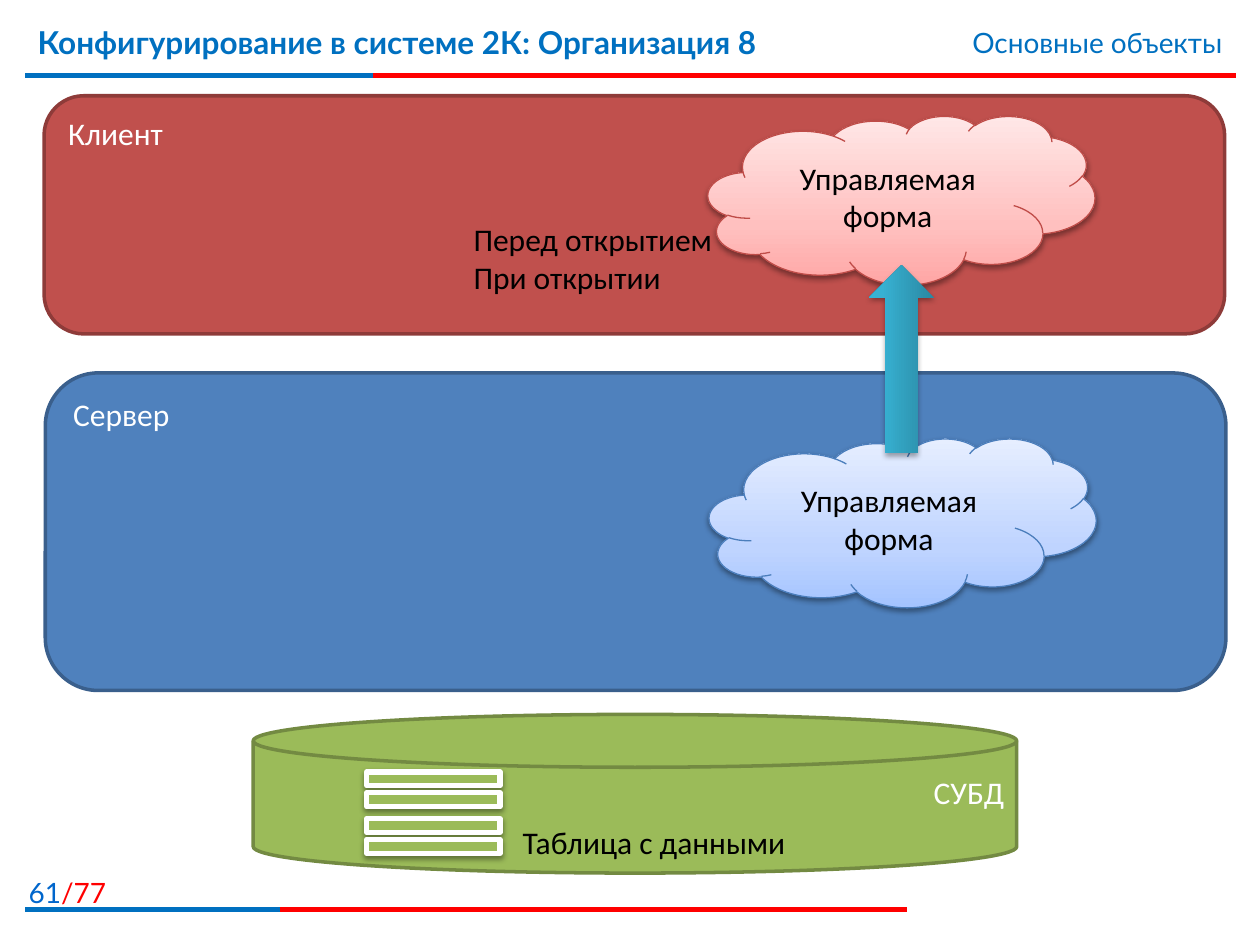
from dataclasses import dataclass, field
from typing import Optional

from lxml.etree import SubElement
from pptx import Presentation
from pptx.dml.color import RGBColor
from pptx.enum.shapes import MSO_CONNECTOR, MSO_SHAPE as Geo
from pptx.enum.text import MSO_ANCHOR as Anchor, PP_ALIGN as Align
from pptx.oxml.ns import qn
from pptx.util import Inches, Pt

BLUE = RGBColor(0x00, 0x70, 0xC0)
PAGE_BLUE = RGBColor(0x00, 0x66, 0xCC)
RED = RGBColor(0xFF, 0x00, 0x00)
WHITE = RGBColor(0xFF, 0xFF, 0xFF)
BLACK = RGBColor(0x00, 0x00, 0x00)
CLIENT_FILL = RGBColor(0xC0, 0x50, 0x4D)
CLIENT_EDGE = RGBColor(0x8E, 0x3B, 0x39)
SERVER_FILL = RGBColor(0x4F, 0x81, 0xBD)
SERVER_EDGE = RGBColor(0x3A, 0x5F, 0x8C)
DATA_FILL = RGBColor(0x9B, 0xBB, 0x59)
DATA_EDGE = RGBColor(0x73, 0x8A, 0x42)
PINK_EDGE = RGBColor(0xBF, 0x4C, 0x48)
SKY_EDGE = RGBColor(0x4B, 0x7E, 0xBC)

# Gradient stops: percent and colour, running from bottom to top
PINK = [(0, RGBColor(0xFF, 0xA6, 0xA5)), (35, RGBColor(0xFF, 0xC0, 0xBF)),
        (100, RGBColor(0xFF, 0xE7, 0xE7))]
SKY = [(0, RGBColor(0xA4, 0xC4, 0xFF)), (35, RGBColor(0xBF, 0xD4, 0xFF)),
       (100, RGBColor(0xE6, 0xEE, 0xFF))]
TEAL = [(0, RGBColor(0x2A, 0x88, 0xA2)), (80, RGBColor(0x37, 0xB1, 0xD2)),
        (100, RGBColor(0x34, 0xB4, 0xD6))]

HEADING = {"name": "Lato", "size": Pt(16)}
TITLE = {"name": "Lato", "size": Pt(18), "bold": True}
BODY = {"name": "Calibri", "size": Pt(18)}


@dataclass
class Label:
    phrases: list[tuple[str, RGBColor]]
    font: dict = field(default_factory=lambda: BODY)
    align: Align = Align.LEFT
    anchor: Anchor = Anchor.TOP


@dataclass
class Figure:
    geometry: Geo
    box: tuple[float, float, float, float]
    fill: RGBColor | list
    edge: Optional[RGBColor] = None
    width: float = 2
    label: Optional[Label] = None
    shadow: Optional[int] = None  # opacity in percent
    rotation: float = 0


@dataclass
class Rule:
    y: float
    split: float
    end: float
    start: float = 0.2


def write(frame, label: Label) -> None:
    frame.word_wrap = True
    frame.vertical_anchor = label.anchor
    paragraph = frame.paragraphs[0]
    paragraph.alignment = label.align
    for words, color in label.phrases:
        for number, line in enumerate(words.split("\n")):
            if number:
                paragraph.add_line_break()
            run = paragraph.add_run()
            run.text = line
            run.font.color.rgb = color
            for name, value in label.font.items():
                setattr(run.font, name, value)


def add_color(parent, color: RGBColor):
    return SubElement(parent, qn("a:srgbClr"), val=str(color))


def paint_gradient(shape, stops: list) -> None:
    shape.fill.gradient()
    shape.fill.gradient_angle = 90  # python-pptx counts counter-clockwise
    stop_list = shape.element.spPr.find(".//" + qn("a:gsLst"))
    for old_stop in list(stop_list):
        stop_list.remove(old_stop)
    for percent, color in stops:
        add_color(SubElement(stop_list, qn("a:gs"), pos=str(percent * 1000)), color)


def cast_shadow(shape, opacity: int) -> None:
    effects = shape.element.spPr.find(qn("a:effectLst"))
    shadow = SubElement(effects, qn("a:outerShdw"), blurRad=str(Pt(3.1)),
                        dist=str(Pt(1.6)), dir="5400000", rotWithShape="0")
    SubElement(add_color(shadow, BLACK), qn("a:alpha"), val=str(opacity * 1000))


def draw_figure(slide, figure: Figure) -> None:
    shape = slide.shapes.add_shape(figure.geometry, *map(Inches, figure.box))
    shape.rotation = figure.rotation
    shape.shadow.inherit = False
    if isinstance(figure.fill, list):
        paint_gradient(shape, figure.fill)
    else:
        shape.fill.solid()
        shape.fill.fore_color.rgb = figure.fill
    if figure.edge is None:
        shape.line.fill.background()
    else:
        shape.line.color.rgb = figure.edge
        shape.line.width = Pt(figure.width)
    if figure.shadow:
        cast_shadow(shape, figure.shadow)
    if figure.label:
        write(shape.text_frame, figure.label)


def draw_text(slide, box: tuple, label: Label) -> None:
    write(slide.shapes.add_textbox(*map(Inches, box)).text_frame, label)


def draw_rule(slide, rule: Rule) -> None:
    for end, color in ((rule.end, RED), (rule.split, BLUE)):
        line = slide.shapes.add_connector(
            MSO_CONNECTOR.STRAIGHT, Inches(rule.start), Inches(rule.y),
            Inches(end), Inches(rule.y))
        line.line.color.rgb = color
        line.line.width = Pt(3)
        SubElement(line._element.spPr, qn("a:effectLst"))


def cloud(left: float, top: float, fill: list, edge: RGBColor) -> Figure:
    label = Label([("Управляемая форма", BLACK)], align=Align.CENTER,
                  anchor=Anchor.MIDDLE)
    return Figure(Geo.CLOUD, (left, top, 3.07, 1.34), fill, edge, 0.75, label, 38)


def table_rows(top: float) -> Figure:
    return Figure(Geo.MATH_EQUAL, (2.72, top, 1.44, 0.47), DATA_FILL, WHITE, 3,
                  shadow=38)


RULES = [Rule(0.6, 2.96, 9.81), Rule(7.22, 2.22, 7.2)]

HEADER_AND_FOOTER = [
    ((0, 6.9, 0.94, 0.32),
     Label([("61", PAGE_BLUE), ("/77", RED)], HEADING, Align.RIGHT)),
    ((0.2, 0.13, 7.4, 0.62),
     Label([("Конфигурирование в системе 2К: Организация 8", BLUE)], TITLE)),
    ((5.94, 0.15, 3.86, 0.37),
     Label([("Основные объекты", BLUE)], HEADING, Align.RIGHT)),
]

FIGURES = [
    # Tiers
    Figure(Geo.ROUNDED_RECTANGLE, (0.35, 0.76, 9.37, 1.89), CLIENT_FILL,
           CLIENT_EDGE, label=Label([("Клиент", WHITE)])),
    Figure(Geo.ROUNDED_RECTANGLE, (0.36, 2.96, 9.37, 2.52), SERVER_FILL,
           SERVER_EDGE, label=Label([("Сервер", WHITE)])),
    Figure(Geo.FLOWCHART_MAGNETIC_DISK, (2.01, 5.67, 6.06, 1.26), DATA_FILL,
           DATA_EDGE, label=Label([("СУБД", WHITE)], align=Align.RIGHT)),
    # Form on the server, passed up to the client
    cloud(5.63, 3.48, SKY, SKY_EDGE),
    cloud(5.62, 0.92, PINK, PINK_EDGE),
    Figure(Geo.RIGHT_ARROW, (6.41, 2.59, 1.49, 0.52), TEAL, shadow=35,
           rotation=270),
    # Data table
    table_rows(6.03),
    table_rows(6.4),
]

CAPTIONS = [
    ((4.05, 6.48, 2.85, 0.4), Label([("Таблица с данными", BLACK)])),
    ((3.66, 1.7, 2.52, 0.71), Label([("Перед открытием\nПри открытии", BLACK)])),
]


def main() -> None:
    deck = Presentation()
    deck.slide_width, deck.slide_height = Inches(10), Inches(7.5)
    slide = deck.slides.add_slide(deck.slide_layouts[6])
    for rule in RULES:
        draw_rule(slide, rule)
    for box, label in HEADER_AND_FOOTER:
        draw_text(slide, box, label)
    for figure in FIGURES:
        draw_figure(slide, figure)
    for box, label in CAPTIONS:
        draw_text(slide, box, label)
    deck.save("out.pptx")


if __name__ == "__main__":
    main()
